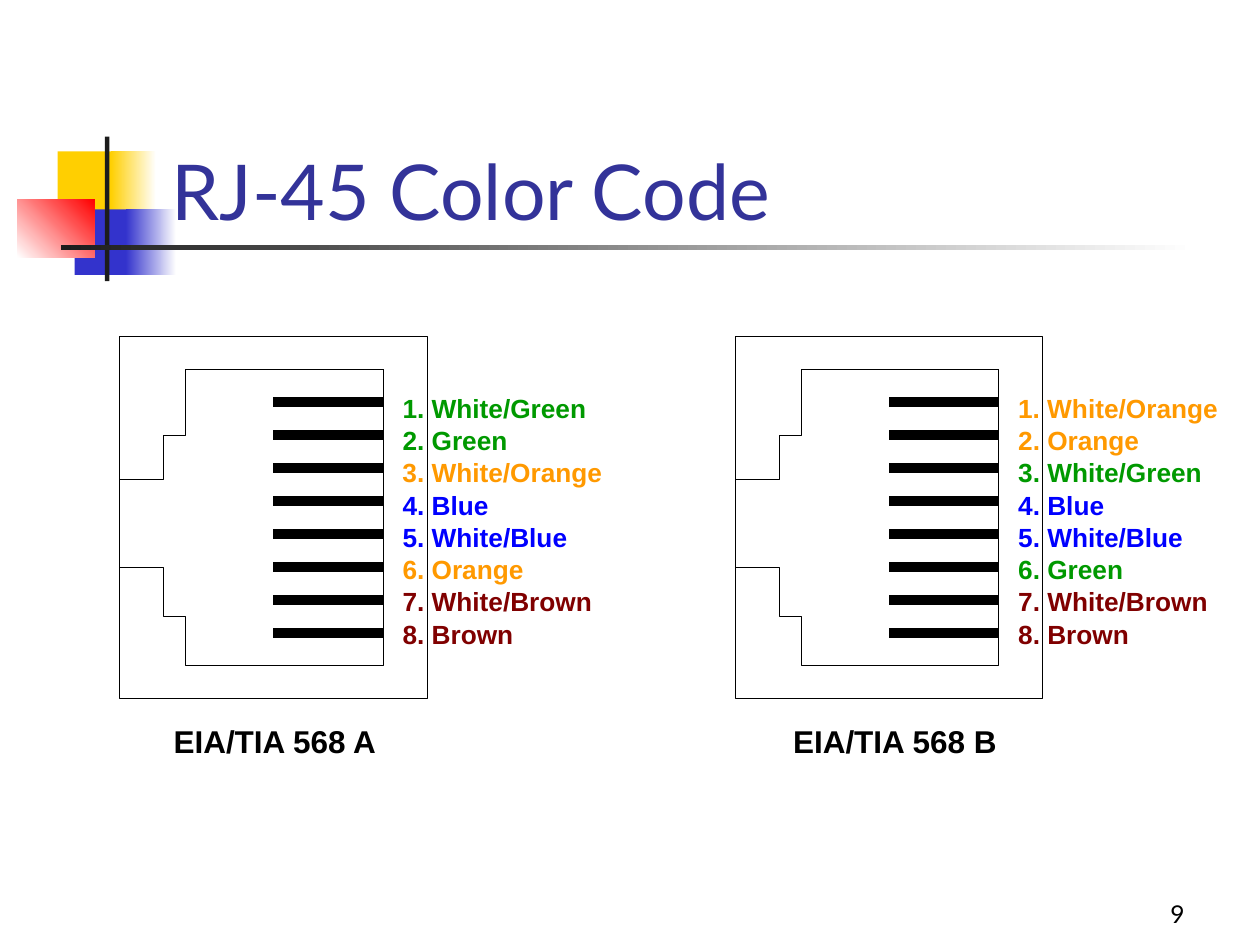
from lxml import etree
from pptx import Presentation
from pptx.dml.color import RGBColor
from pptx.enum.shapes import MSO_CONNECTOR, MSO_SHAPE
from pptx.enum.text import MSO_ANCHOR, MSO_AUTO_SIZE, PP_ALIGN
from pptx.oxml.ns import qn
from pptx.util import Pt

RECT, LINE = MSO_SHAPE.RECTANGLE, MSO_CONNECTOR.STRAIGHT
LOW, TOP = MSO_ANCHOR.BOTTOM, MSO_ANCHOR.TOP
GROW, FIXED = MSO_AUTO_SIZE.SHAPE_TO_FIT_TEXT, MSO_AUTO_SIZE.NONE
LEFT, RIGHT = PP_ALIGN.LEFT, PP_ALIGN.RIGHT

THEME = {
    "white": "FFFFFF", "black": "000000", "dark": "1C1C1C", "title": "333399",
    "gold": "FFCF01", "navy": "3333CC", "red": "FF0000",
    "green": "009900", "orange": "FF9900", "blue": "0000FF", "brown": "800000",
    "head": 44, "cap": 18, "wire": 15, "page": 14, "thin": 0.37, "pin": 5.75,
    "sans": "Lato", "bold": "Arial",
}


def tint(name):
    return RGBColor.from_string(THEME[name])


def write(shape, words, size, color, face, bold=False, align=LEFT,
          anchor=TOP, fit=FIXED, wrap=True):
    frame = shape.text_frame
    frame.text = words
    form = {"word_wrap": wrap, "auto_size": fit, "vertical_anchor": anchor}
    if not wrap:
        form.update(margin_left=0, margin_top=0, margin_right=0, margin_bottom=0)
    for key, value in form.items():
        setattr(frame, key, value)
    para = frame.paragraphs[0]
    para.alignment = align
    font = para.runs[0].font
    for key, value in {"size": Pt(THEME[size]), "name": THEME[face], "bold": bold}.items():
        setattr(font, key, value)
    font.color.rgb = tint(color)


deck = Presentation()
deck.slide_width, deck.slide_height = Pt(720), Pt(540)
slide = deck.slides.add_slide(deck.slide_layouts[5])

# Corner blocks and rules: left, top, width, height, colours, angle
blocks = [
    (33, 86.5, 34.6, 37.4, ["gold"], 0),
    (63.3, 86.5, 25.9, 37.4, ["gold", "white"], 0),
    (42.6, 119.7, 33.2, 37.4, ["navy"], 0),
    (72, 119.7, 28.8, 37.4, ["navy", "white"], 0),
    (10, 113.8, 44, 33.4, ["white", "red"], 45),
    (60, 78, 2.5, 82.7, ["dark"], 0),
    (34.8, 140.2, 648, 2.5, ["dark", "white"], 0),
]
for left, top, wide, high, hues, angle in blocks:
    block = slide.shapes.add_shape(RECT, Pt(left), Pt(top), Pt(wide), Pt(high))
    block.shadow.inherit = False
    block.line.fill.background()
    if len(hues) == 1:
        block.fill.solid()
        block.fill.fore_color.rgb = tint(hues[0])
    else:
        block.fill.gradient()
        block.fill.gradient_angle = angle
        for stop, hue in zip(block.fill.gradient_stops, hues):
            stop.color.rgb = tint(hue)

# Page number
page = slide.shapes.add_textbox(Pt(534.2), Pt(498.2), Pt(149.8), Pt(36))
write(page, "9", "page", "black", "sans", align=RIGHT, anchor=LOW)

# Title, brought in front of the blocks
title = slide.shapes.title
title.left, title.top, title.width, title.height = Pt(90.7), Pt(48.2), Pt(613.4), Pt(90)
write(title, "RJ-45 Color Code", "head", "title", "sans", anchor=LOW)
title.element.getparent().append(title.element)

# Wire name: colour, label width
wires = {
    "White/Green": ("green", 107), "Green": ("green", 62),
    "White/Orange": ("orange", 116), "Orange": ("orange", 71),
    "White/Blue": ("blue", 96), "Blue": ("blue", 51),
    "White/Brown": ("brown", 110), "Brown": ("brown", 65),
}
tail = ["White/Brown", "Brown"]
# Jack: left edge, caption, caption left, wires in pin order
jacks = [
    (68.3, "EIA/TIA 568 A", 99.2,
     ["White/Green", "Green", "White/Orange", "Blue", "White/Blue", "Orange"] + tail),
    (420.1, "EIA/TIA 568 B", 453.2,
     ["White/Orange", "Orange", "White/Green", "Blue", "White/Blue", "Green"] + tail),
]
# Inner outline, x from the jack's left edge
upper = [(150.6, 211), (37.7, 211), (37.7, 248.6), (25.1, 248.6), (25.1, 273.8), (0, 273.8)]
lower = [(0, 324.2), (25.1, 324.2), (25.1, 352.2), (37.7, 352.2), (37.7, 380.2),
         (150.6, 380.2), (150.6, 211)]

for left, name, start, order in jacks:
    jack = slide.shapes.add_group_shape().shapes
    body = jack.add_shape(RECT, Pt(left), Pt(192.3), Pt(175.7), Pt(207))
    body.fill.solid()
    body.fill.fore_color.rgb = tint("white")
    parts = [body]
    for outline in (upper, lower):
        dots = [(Pt(left + x), Pt(y)) for x, y in outline]
        pen = jack.build_freeform(*dots[0])
        pen.add_line_segments(dots[1:], close=False)
        edge = pen.convert_to_shape()
        edge.fill.background()
        parts.append(edge)
    for part in parts:
        part.shadow.inherit = False
        part.line.color.rgb = tint("black")
        part.line.width = Pt(THEME["thin"])

    # Pins and their numbered wires
    labels = slide.shapes.add_group_shape().shapes
    for i, wire in enumerate(order):
        y = Pt(229.7 + 18.85 * i)
        pin = jack.add_connector(LINE, Pt(left + 150.6), y, Pt(left + 88), y)
        pin.line.color.rgb = tint("black")
        pin.line.width = Pt(THEME["pin"])
        etree.SubElement(pin.element.spPr, qn("a:effectLst"))
        hue, wide = wires[wire]
        label = labels.add_textbox(Pt(left + 161.7), Pt(224 + 18.45 * i), Pt(wide), Pt(18))
        write(label, f"{i + 1}. {wire}", "wire", hue, "bold", bold=True, fit=GROW, wrap=False)

    # Caption
    cap = slide.shapes.add_textbox(Pt(start), Pt(412.6), Pt(117.4), Pt(21.6))
    write(cap, name, "cap", "black", "bold", bold=True, fit=GROW, wrap=False)

deck.save("out.pptx")
